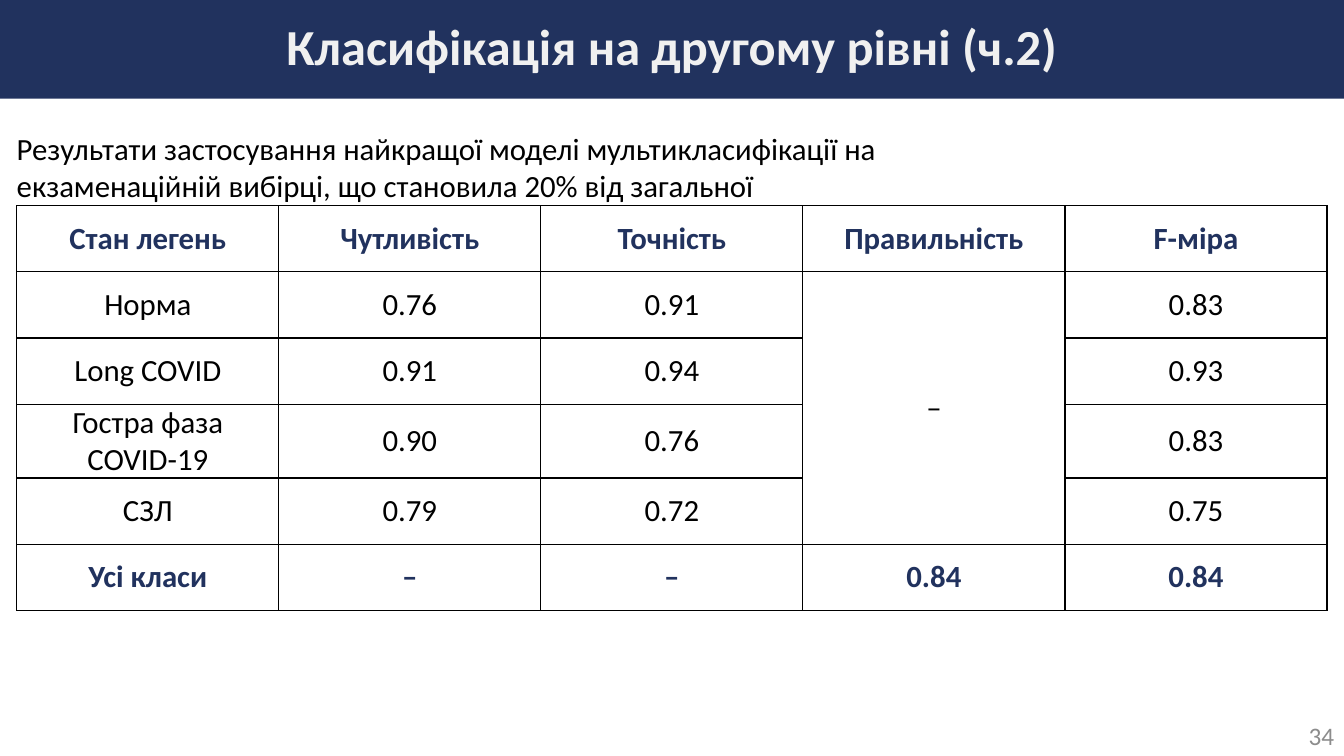
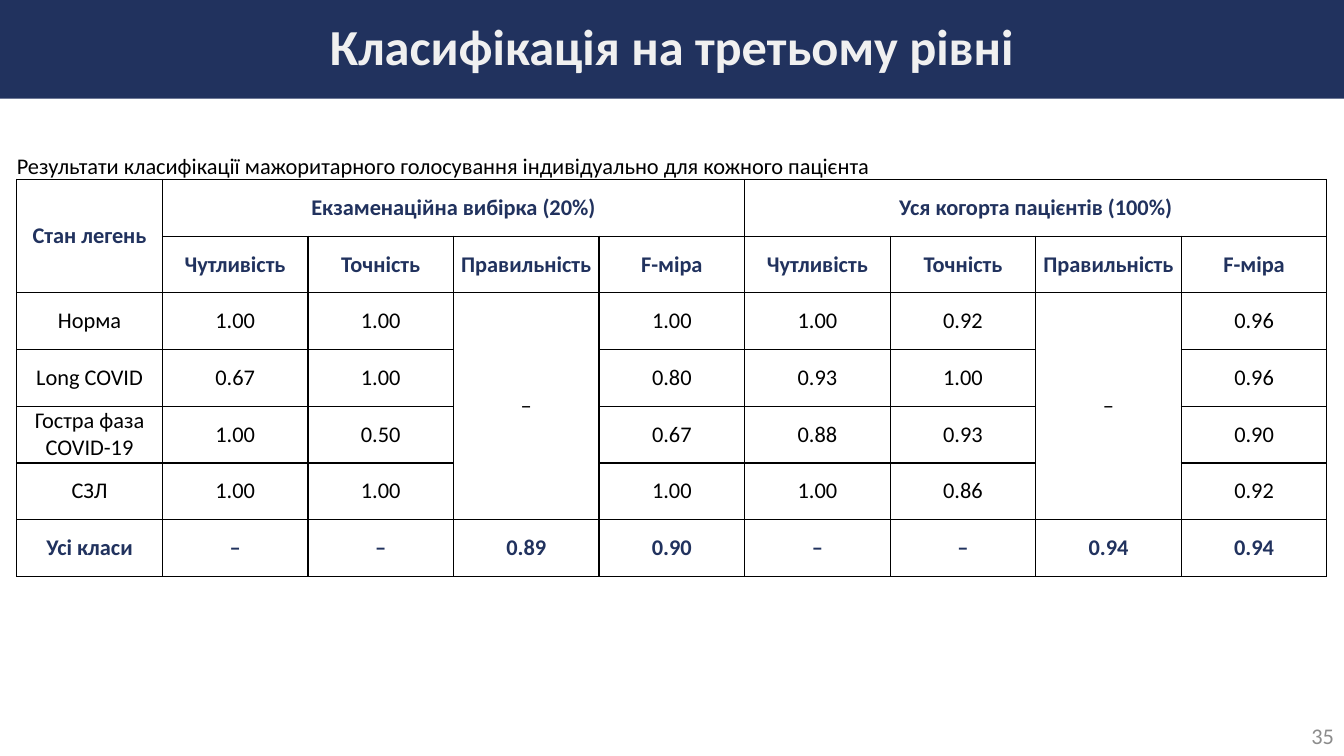
from dataclasses import dataclass
from lxml.etree import SubElement as Sub
from pptx import Presentation
from pptx.dml.color import RGBColor as Color
from pptx.enum.shapes import MSO_SHAPE as Form
from pptx.enum.text import MSO_ANCHOR as Anchor, PP_ALIGN as Align
from pptx.oxml.ns import qn
from pptx.util import Inches, Pt

COLS, ROWS = 80, 45
UNIT = 1 / 6
UP, LEFT = "^", "<"


@dataclass(frozen=True)
class Theme:
    font: str = "Calibri"
    navy: str = "21325E"
    pale: str = "F0F0F0"
    gray: str = "8C8C8C"
    ink: str = "000000"
    white: str = "FFFFFF"
    title: int = 36
    line: float = 1


@dataclass(frozen=True)
class Box:
    left: float
    top: float
    width: float
    height: float

    def place(self) -> tuple:
        return tuple(grid(n) for n in (self.left, self.top, self.width, self.height))


@dataclass(frozen=True)
class Page:
    title: str
    note: str
    note_wide: float
    note_high: float
    top: float
    size: int
    heads: int
    cells: list[list[str]]
    num: str
    num_size: int


THEME = Theme()
BAND = Box(0, 0, COLS, 5.88)
FOOT = Box(62, 42.6, 18, 2.4)
EDGE = 1
HIGH = 23.64
PAD = 0.42
MARKS = ["Чутливість", "Точність", "Правильність", "F-міра"]

PAGES = [
    Page("Класифікація на другому рівні (ч.2)",
         "Результати застосування найкращої моделі мультикласифікації на "
         "екзаменаційній вибірці, що становила 20% від загальної",
         51.5, 4.5, 12.24, 22, 1, [
             ["Стан легень", *MARKS],
             ["Норма", "0.76", "0.91", "–", "0.83"],
             ["Long COVID", "0.91", "0.94", UP, "0.93"],
             ["Гостра фаза COVID-19", "0.90", "0.76", UP, "0.83"],
             ["СЗЛ", "0.79", "0.72", UP, "0.75"],
             ["Усі класи", "–", "–", "0.84", "0.84"],
         ], "34", 18),
    Page("Класифікація на третьому рівні",
         "Результати класифікації мажоритарного голосування індивідуально "
         "для кожного пацієнта",
         65.2, 1.62, 10.68, 16, 2, [
             ["Стан легень", "Екзаменаційна вибірка (20%)", LEFT, LEFT, LEFT,
              "Уся когорта пацієнтів (100%)", LEFT, LEFT, LEFT],
             [UP, *MARKS, *MARKS],
             ["Норма", "1.00", "1.00", "–", "1.00", "1.00", "0.92", "–", "0.96"],
             ["Long COVID", "0.67", "1.00", UP, "0.80", "0.93", "1.00", UP, "0.96"],
             ["Гостра фаза COVID-19", "1.00", "0.50", UP, "0.67", "0.88", "0.93", UP, "0.90"],
             ["СЗЛ", "1.00", "1.00", UP, "1.00", "1.00", "0.86", UP, "0.92"],
             ["Усі класи", "–", "–", "0.89", "0.90", "–", "–", "0.94", "0.94"],
         ], "35", 16),
]


def grid(count: float) -> int:
    return Inches(count * UNIT)


def write(frame, text: str, size: int, color: str, bold: bool = False, align=Align.LEFT) -> None:
    frame.text = text
    frame.word_wrap = True
    for par in frame.paragraphs:
        par.alignment = align
        for run in par.runs:
            font = run.font
            font.name, font.size, font.bold = THEME.font, Pt(size), bold
            font.color.rgb = Color.from_string(color)


def band(slide, text: str) -> None:
    shape = slide.shapes.add_shape(Form.RECTANGLE, *BAND.place())
    shape.shadow.inherit = False
    shape.fill.solid()
    shape.fill.fore_color.rgb = Color.from_string(THEME.navy)
    shape.line.fill.background()
    frame = shape.text_frame
    frame.vertical_anchor = Anchor.MIDDLE
    write(frame, text, THEME.title, THEME.pale, True, Align.CENTER)
    frame.paragraphs[0].line_spacing = 0.9


def foot(slide, text: str, size: int) -> None:
    frame = slide.shapes.add_textbox(*FOOT.place()).text_frame
    frame.vertical_anchor = Anchor.MIDDLE
    write(frame, text, size, THEME.gray, align=Align.RIGHT)


def note(slide, page: Page) -> None:
    box = Box(EDGE, page.top - page.note_high, page.note_wide, page.note_high)
    frame = slide.shapes.add_textbox(*box.place()).text_frame
    frame.margin_left = frame.margin_right = frame.margin_top = frame.margin_bottom = 0
    write(frame, page.note, page.size, THEME.ink)


def rule(cell) -> None:
    props = cell._tc.get_or_add_tcPr()
    for side in ("lnL", "lnR", "lnT", "lnB"):
        line = Sub(props, qn(f"a:{side}"), w=str(Pt(THEME.line)))
        Sub(Sub(line, qn("a:solidFill")), qn("a:srgbClr"), val=THEME.ink)


def span(cells: list[list[str]], row: int, col: int) -> tuple[int, int]:
    down, last = row, col
    while down + 1 < len(cells) and cells[down + 1][col] == UP:
        down += 1
    while last + 1 < len(cells[row]) and cells[row][last + 1] == LEFT:
        last += 1
    return down, last


def chart(slide, page: Page) -> None:
    cells = page.cells
    rows, cols = len(cells), len(cells[0])
    box = Box(EDGE, page.top, COLS - 2 * EDGE, HIGH)
    table = slide.shapes.add_table(rows, cols, *box.place()).table
    table.first_row = table.horz_banding = False
    for part in table.columns:
        part.width = grid(box.width / cols)
    for part in table.rows:
        part.height = grid(HIGH / rows)
    for row, texts in enumerate(cells):
        bold = row < page.heads or row == rows - 1
        color = THEME.navy if bold else THEME.ink
        for col, text in enumerate(texts):
            cell = table.cell(row, col)
            rule(cell)
            cell.fill.solid()
            cell.fill.fore_color.rgb = Color.from_string(THEME.white)
            cell.margin_left = cell.margin_right = grid(PAD)
            cell.margin_top = cell.margin_bottom = 0
            cell.vertical_anchor = Anchor.MIDDLE
            if text in (UP, LEFT):
                continue
            write(cell.text_frame, text, page.size, color, bold, Align.CENTER)
            end = span(cells, row, col)
            if end != (row, col):
                cell.merge(table.cell(*end))


def main() -> None:
    deck = Presentation()
    deck.slide_width, deck.slide_height = grid(COLS), grid(ROWS)
    for page in PAGES:
        slide = deck.slides.add_slide(deck.slide_layouts[6])
        foot(slide, page.num, page.num_size)
        band(slide, page.title)
        chart(slide, page)
        note(slide, page)
    deck.save("out.pptx")


if __name__ == "__main__":
    main()
